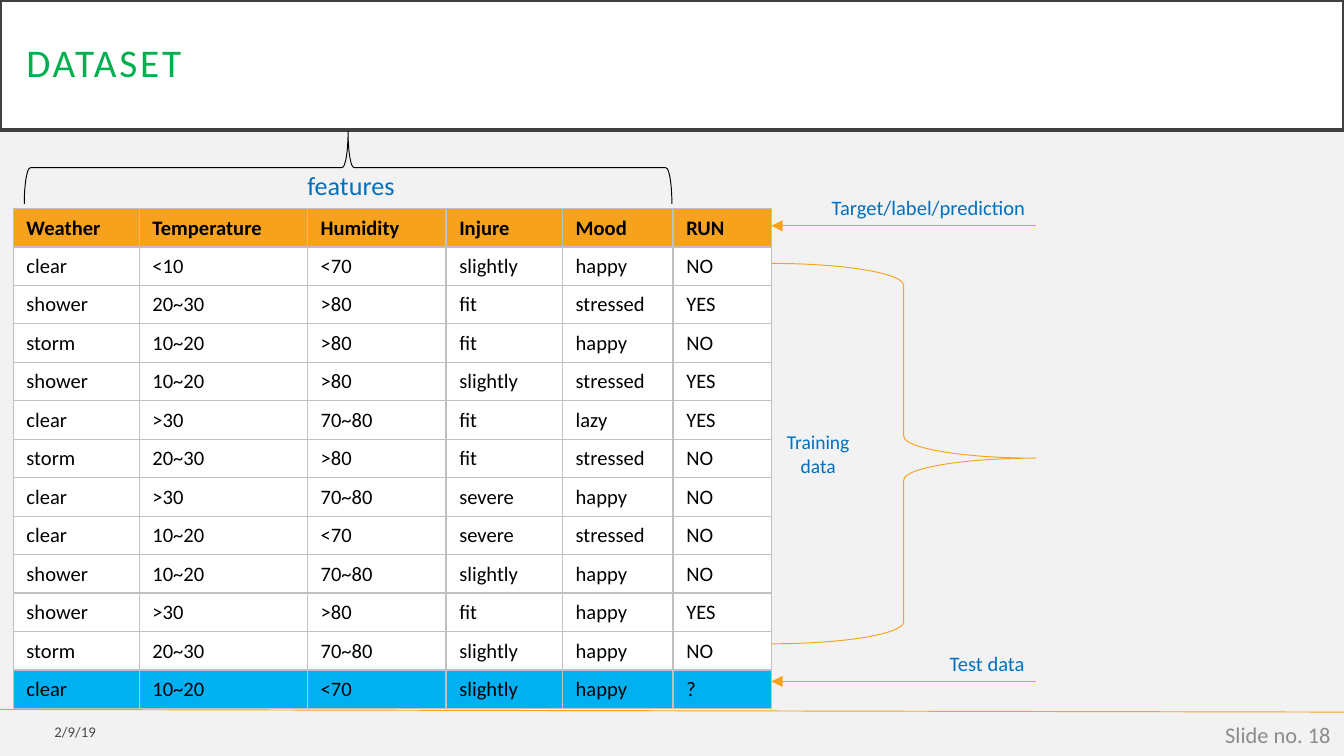
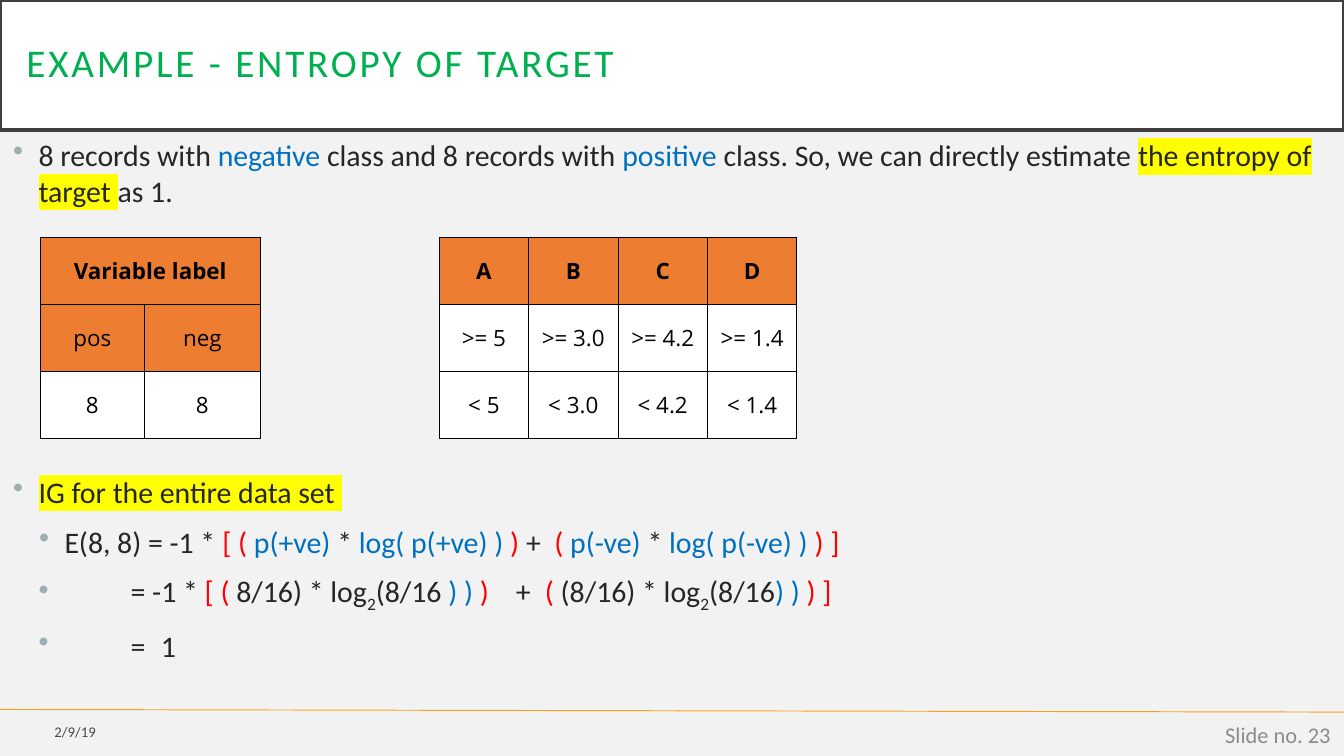
from pptx import Presentation
from pptx.dml.color import RGBColor
from pptx.enum.shapes import MSO_CONNECTOR, MSO_SHAPE
from pptx.enum.text import MSO_ANCHOR, PP_ALIGN
from pptx.oxml.ns import qn
from pptx.util import Cm, Pt
from lxml import etree

RECT, BRACE = MSO_SHAPE.RECTANGLE, MSO_SHAPE.RIGHT_BRACE
LINE = MSO_CONNECTOR.STRAIGHT
MID, TOP = MSO_ANCHOR.MIDDLE, MSO_ANCHOR.TOP
LEFT, MIDST, RIGHT = PP_ALIGN.LEFT, PP_ALIGN.CENTER, PP_ALIGN.RIGHT

WIDE, HIGH = 25.4, 14.29
HEAD = 2.46
FOOT = 13.41
FACE = "Calibri"
HUES = {
    "page": "F2F2F2", "white": "FFFFFF", "black": "000000", "edge": "404040",
    "title": "00B050", "gold": "F6A21D", "sky": "00B0F0", "blue": "0070C0",
    "ink": "262626", "red": "FF0000", "dot": "9BAFB5", "mark": "FFFF00",
    "grey": "8C8C8C", "rule": "BDC1C4", "rust": "ED7D31",
}

DATA = """Weather Temperature Humidity Injure Mood RUN
clear <10 <70 slightly happy NO
shower 20~30 >80 fit stressed YES
storm 10~20 >80 fit happy NO
shower 10~20 >80 slightly stressed YES
clear >30 70~80 fit lazy YES
storm 20~30 >80 fit stressed NO
clear >30 70~80 severe happy NO
clear 10~20 <70 severe stressed NO
shower 10~20 70~80 slightly happy NO
shower >30 >80 fit happy YES
storm 20~30 70~80 slightly happy NO
clear 10~20 <70 slightly happy ?"""

SPLIT = [
    ["Variable label", "", "", "", "A", "B", "C", "D"],
    ["pos", "neg", "", "", ">= 5", ">= 3.0", ">= 4.2", ">= 1.4"],
    ["8", "8", "", "", "< 5", "< 3.0", "< 4.2", "< 1.4"],
]

# Each entry: left margin, hanging indent, space before, tab stops, runs.
BODY = [
    (0.48, 0.48, 0, [], [
        ("8 records with ", "ink"), ("negative", "blue"),
        (" class and 8 records with ", "ink"), ("positive", "blue"),
        (" class. So, we can directly estimate ", "ink"),
        ("the entropy of target ", "mark"), ("as 1.", "ink")]),
    (0.48, 0.48, 142, [], [("IG for the entire data set ", "mark")]),
    (0.97, 0.48, 7.5, [10.23], [
        ("E(8, 8) = -1 * ", "ink"), ("[ ( ", "red"), ("p(+ve)", "blue"),
        (" * ", "ink"), ("log( p(+ve) ) ", "blue"), (") ", "red"),
        ("+\t", "ink"), ("( ", "red"), ("p(-ve) ", "blue"), ("* ", "ink"),
        ("log( p(-ve) ) ", "blue"), (") ]", "red")]),
    (2.22, 1.74, 7.5, [9.5, 10.05], [
        ("= -1 * ", "ink"), ("[ ( ", "red"), ("8/16) * log", "ink"),
        ("2", "sub"), ("(8/16 ", "ink"), (") ) ", "blue"), (")", "red"),
        ("\t+\t", "ink"), ("( ", "red"), ("(8/16) * log", "ink"),
        ("2", "sub"), ("(8/16", "ink"), (") ) ", "blue"), (") ]", "red")]),
    (2.22, 1.74, 7.5, [2.79], [("=\t1", "ink")]),
]


def tint(name):
    """Return the colour held under a name."""
    return RGBColor.from_string(HUES[name])


def put(item, vals):
    """Set each attribute in a dict of format values."""
    for key, val in vals.items():
        setattr(item, key, val)


def add(home, tag, **vals):
    """Append an XML element with attributes."""
    node = etree.SubElement(home, qn(tag))
    for key, val in vals.items():
        node.set(key, str(val))
    return node


def write(para, text, size, hue, face=FACE, bold=False):
    """Add one formatted run to a paragraph."""
    run = para.add_run()
    run.text = text
    put(run.font, {"size": Pt(size), "name": face, "bold": bold})
    run.font.color.rgb = tint(hue)
    return run


def label(page, box, text, size, hue="blue", align=LEFT, anchor=TOP):
    """Place a one-line text box."""
    frame = page.shapes.add_textbox(*map(Cm, box)).text_frame
    put(frame, {"word_wrap": True, "vertical_anchor": anchor})
    para = frame.paragraphs[0]
    para.alignment = align
    return write(para, text, size, hue)


def shape(page, kind, box, hue, width, fill=None):
    """Place a preset shape with a line and an optional fill."""
    item = page.shapes.add_shape(kind, *map(Cm, box))
    item.shadow.inherit = False
    if fill:
        item.fill.solid()
        item.fill.fore_color.rgb = tint(fill)
    else:
        item.fill.background()
    item.line.color.rgb = tint(hue)
    item.line.width = Pt(width)
    return item


def line(page, ends, arrow=False):
    """Draw a thin gold line, with an arrowhead if asked."""
    item = page.shapes.add_connector(LINE, *map(Cm, ends))
    item.line.color.rgb = tint("gold")
    item.line.width = Pt(0.5)
    if arrow:
        add(item.line._get_or_add_ln(), "a:tailEnd", type="triangle")
    add(item._element.spPr, "a:effectLst")


def frame(deck, title, num):
    """Make a slide with background, title band and footer."""
    page = deck.slides.add_slide(deck.slide_layouts[6])
    page.background.fill.solid()
    page.background.fill.fore_color.rgb = tint("page")
    line(page, (0, FOOT, WIDE, FOOT + 0.05))
    band = shape(page, RECT, (0, 0, WIDE, HEAD), "edge", 2.5, "white")
    sides = ("left", "right", "top", "bottom")
    put(band.text_frame, {f"margin_{side}": Cm(0.5) for side in sides})
    put(band.text_frame, {"word_wrap": True, "vertical_anchor": MID})
    para = band.text_frame.paragraphs[0]
    put(para, {"alignment": LEFT, "line_spacing": 0.9})
    write(para, title, 21, "title").font._element.set("spc", "150")
    date = label(page, (0, FOOT + 0.08, 2.06, 0.69), "2/9/19", 7.9,
                 "black", RIGHT, MID)
    add(date.font._element.find(".//" + qn("a:srgbClr")), "a:alpha", val=70000)
    label(page, (19.69, FOOT + 0.1, 5.71, 0.76), f"Slide no. {num}", 12,
          "grey", RIGHT, MID)
    return page


def rim(cell, sides, hue, width):
    """Draw the named sides of a cell and clear the others."""
    home = cell._tc.get_or_add_tcPr()
    for side in "LRTB":
        edge = add(home, "a:ln" + side, w=Pt(width))
        if side in sides:
            add(add(edge, "a:solidFill"), "a:srgbClr", val=HUES[hue])
        else:
            add(edge, "a:noFill")


def grid(page, spot, cols, tall, rows, look):
    """Place a table whose cells follow one look."""
    box = (*spot, sum(cols), tall * len(rows))
    table = page.shapes.add_table(len(rows), len(cols), *map(Cm, box)).table
    put(table, {"first_row": False, "horz_banding": False})
    for col, wide in zip(table.columns, cols):
        col.width = Cm(wide)
    for r, texts in enumerate(rows):
        table.rows[r].height = Cm(tall)
        for c, text in enumerate(texts):
            cell = table.cell(r, c)
            put(cell, look["cell"])
            rim(cell, look["gaps"].get(c, "LRTB"), *look["rim"])
            if c in look["gaps"]:
                cell.fill.background()
            else:
                cell.fill.solid()
                cell.fill.fore_color.rgb = tint(look["fill"](r, c))
            para = cell.text_frame.paragraphs[0]
            para.alignment = look["align"]
            if text:
                write(para, text, look["size"], "black", look["face"], r == 0)
    return table


def pads(side, end):
    """Return the format values of a cell with these margins."""
    return {"margin_left": Cm(side), "margin_right": Cm(side),
            "margin_top": Cm(end), "margin_bottom": Cm(end),
            "vertical_anchor": MID}


def records(page, spot):
    """Place the data table and the brace over its features."""
    x, y = spot
    rows = [row.split() for row in DATA.splitlines()]
    shades = ["gold"] + ["white"] * (len(rows) - 2) + ["sky"]
    grid(page, spot, [2.38, 3.18, 2.62, 2.2, 2.09, 1.86], 0.71, rows, {
        "cell": pads(0.25, 0.13), "rim": ("rule", 0.75), "gaps": {},
        "fill": lambda r, c: shades[r], "align": LEFT, "size": 11,
        "face": FACE})
    long, deep = 12.24, 1.37
    mid, level = x + 6.33, y - 0.77
    brace = shape(page, BRACE, (mid - deep / 2, level - long / 2, deep, long),
                  "black", 0.5)
    brace.rotation = 270
    label(page, (x + 5.31, y - 0.87, 2.77, 0.86), "features", 14)


def notes(page, box):
    """Place the brace, arrows and labels right of the data."""
    x, y, w, h = box
    brace = shape(page, BRACE, (x, y + 1.04, w, 7.19), "gold", 0.5)
    brace.adjustments[1] = 0.512
    put(brace.text_frame, {"word_wrap": True, "vertical_anchor": MID})
    para = brace.text_frame.paragraphs[0]
    para.alignment = MIDST
    write(para, "Training data", 10.5, "blue")
    for level, shift, wide, text in ((y + 0.33, 0.89, 5.08, "Target/label/prediction"),
                                     (y + h, 3.12, 2.84, "Test data")):
        line(page, (x + w, level, x, level), True)
        label(page, (x + shift, level - 0.7, wide, 0.74), text, 11)


def body(page, box):
    """Place the bulleted text and formulas."""
    area = page.shapes.add_textbox(*map(Cm, box)).text_frame
    area.word_wrap = True
    for i, (left, hang, gap, tabs, runs) in enumerate(BODY):
        para = area.add_paragraph() if i else area.paragraphs[0]
        home = para._p.get_or_add_pPr()
        home.set("marL", str(Cm(left)))
        home.set("indent", str(-Cm(hang)))
        add(add(home, "a:buClr"), "a:srgbClr", val=HUES["dot"])
        add(home, "a:buChar", char="•")
        if tabs:
            stops = add(home, "a:tabLst")
            for tab in tabs:
                add(stops, "a:tab", pos=Cm(tab), algn="l")
        if gap:
            para.space_before = Pt(gap)
        for text, kind in runs:
            hue = "ink" if kind in ("mark", "sub") else kind
            node = write(para, text, 16, hue).font._element
            if kind == "sub":
                node.set("baseline", "-25000")
            if kind == "mark":
                mark = add(node, "a:highlight")
                add(mark, "a:srgbClr", val=HUES["mark"])
                node.find(qn("a:solidFill")).addnext(mark)


def counts(page, spot):
    """Place the label counts and split points as one table."""
    table = grid(page, spot, [1.97, 2.19] + [1.69] * 6, 1.11, SPLIT, {
        "cell": pads(0.03, 0.25), "rim": ("black", 0.5),
        "gaps": {2: "L", 3: "R"}, "align": MIDST, "size": 12,
        "fill": lambda r, c: "rust" if r == 0 or r == 1 and c < 2 else "white",
        "face": "Open Sans"})
    table.cell(0, 0).merge(table.cell(0, 1))


def main():
    """Build both slides and save the deck."""
    deck = Presentation()
    put(deck, {"slide_width": Cm(WIDE), "slide_height": Cm(HIGH)})
    page = frame(deck, "DATASET", 18)
    records(page, (0.25, 3.94))
    notes(page, (14.58, 3.94, 5, 8.94))
    page = frame(deck, "EXAMPLE - ENTROPY OF TARGET", 23)
    body(page, (0, HEAD, WIDE, 11.02))
    counts(page, (0.76, 4.49))
    deck.save("out.pptx")


if __name__ == "__main__":
    main()
